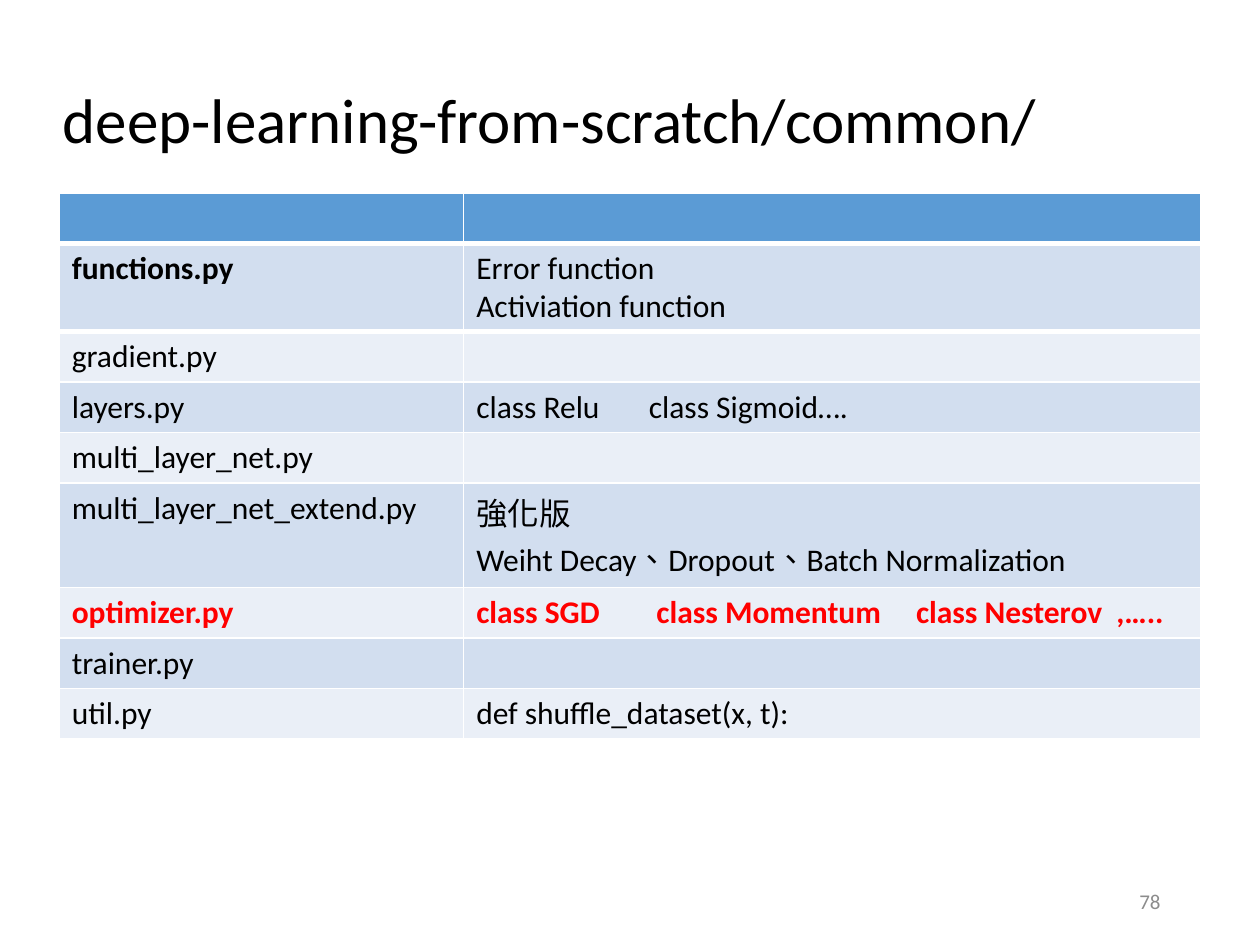
from lxml import etree
from pptx import Presentation
from pptx.dml.color import RGBColor
from pptx.enum.lang import MSO_LANGUAGE_ID
from pptx.enum.text import MSO_ANCHOR, PP_ALIGN
from pptx.oxml.ns import qn
from pptx.util import Inches, Pt

BLACK = RGBColor(0, 0, 0)
WHITE = RGBColor(0xFF, 0xFF, 0xFF)
RED = RGBColor(0xFF, 0, 0)
GRAY = RGBColor(0x8C, 0x8C, 0x8C)
HEAD = RGBColor(0x5B, 0x9B, 0xD5)
BANDS = (RGBColor(0xEA, 0xEF, 0xF7), RGBColor(0xD2, 0xDE, 0xEF))
RIGHT, MIDDLE = PP_ALIGN.RIGHT, MSO_ANCHOR.MIDDLE
CHINESE = MSO_LANGUAGE_ID.TRADITIONAL_CHINESE

TITLE = "deep-learning-from-scratch/common/"
NUMBER = "78"
ROW_H = 0.4
# name, notes, row height
ROWS = [
    ("", "", ROW_H),
    ("functions.py", "Error function\nActiviation function", 0.7),
    ("gradient.py", "", ROW_H),
    ("layers.py", "class Relu\tclass Sigmoid….", ROW_H),
    ("multi_layer_net.py", "", ROW_H),
    ("multi_layer_net_extend.py",
     "強化版\nWeiht Decay、Dropout、Batch Normalization", 0.83),
    ("optimizer.py", "class SGD\tclass Momentum\tclass Nesterov\t,…..", ROW_H),
    ("trainer.py", "", ROW_H),
    ("util.py", "def shuffle_dataset(x, t):", ROW_H),
]
WIDTHS = (3.21, 5.85)
TABS = {"layers.py": (1.37,), "optimizer.py": (1.43, 3.49, 5.08)}
BOLD = {("functions.py", 0), ("optimizer.py", 0), ("optimizer.py", 1)}


def style(para, size, color=BLACK, bold=False):
    font = para.font
    font.name, font.size, font.bold = "Calibri", Pt(size), bold
    font.color.rgb = color


def add_tabs(para, stops):
    tabs = etree.SubElement(para._p.get_or_add_pPr(), qn("a:tabLst"))
    for stop in stops:
        etree.SubElement(tabs, qn("a:tab"), pos=str(Inches(stop)), algn="l")


def add_edge(cell, side):
    """Draw a thick white border; call before the cell is filled."""
    edge = etree.SubElement(cell._tc.get_or_add_tcPr(), qn("a:" + side),
                            w=str(Pt(3)))
    fill = etree.SubElement(edge, qn("a:solidFill"))
    etree.SubElement(fill, qn("a:srgbClr"), val=str(WHITE))


def add_text(slide, text, box, size, color):
    frame = slide.shapes.add_textbox(*map(Inches, box)).text_frame
    frame.text = text
    style(frame.paragraphs[0], size, color)
    return frame


def add_files(slide):
    total = sum(row[2] for row in ROWS)
    table = slide.shapes.add_table(
        len(ROWS), len(WIDTHS), Inches(0.47), Inches(1.53),
        Inches(sum(WIDTHS)), Inches(total)).table
    for col, width in zip(table.columns, WIDTHS):
        col.width = Inches(width)
    for r, (name, notes, height) in enumerate(ROWS):
        table.rows[r].height = Inches(height)
        for c, text in enumerate((name, notes)):
            cell = table.cell(r, c)
            if r < 2:
                add_edge(cell, "lnT" if r else "lnB")
            cell.fill.solid()
            cell.fill.fore_color.rgb = BANDS[r % 2] if r else HEAD
            cell.text = text
            for para in cell.text_frame.paragraphs:
                if "\t" in text:
                    add_tabs(para, TABS[name])
                style(para, 18, RED if name == "optimizer.py" else BLACK,
                      (name, c) in BOLD)
                if "、" in text:
                    para.runs[0].font.language_id = CHINESE


def main():
    deck = Presentation()
    deck.slide_width, deck.slide_height = Inches(10), Inches(7.5)
    slide = deck.slides.add_slide(deck.slide_layouts[6])
    number = add_text(slide, NUMBER, (7.06, 6.95, 2.25, 0.4), 12, GRAY)
    number.vertical_anchor = MIDDLE
    number.paragraphs[0].alignment = RIGHT
    add_files(slide)
    title = add_text(slide, TITLE, (0.4, 0.59, 8, 0.71), 36, BLACK)
    title.word_wrap = False
    deck.save("out.pptx")


if __name__ == "__main__":
    main()
